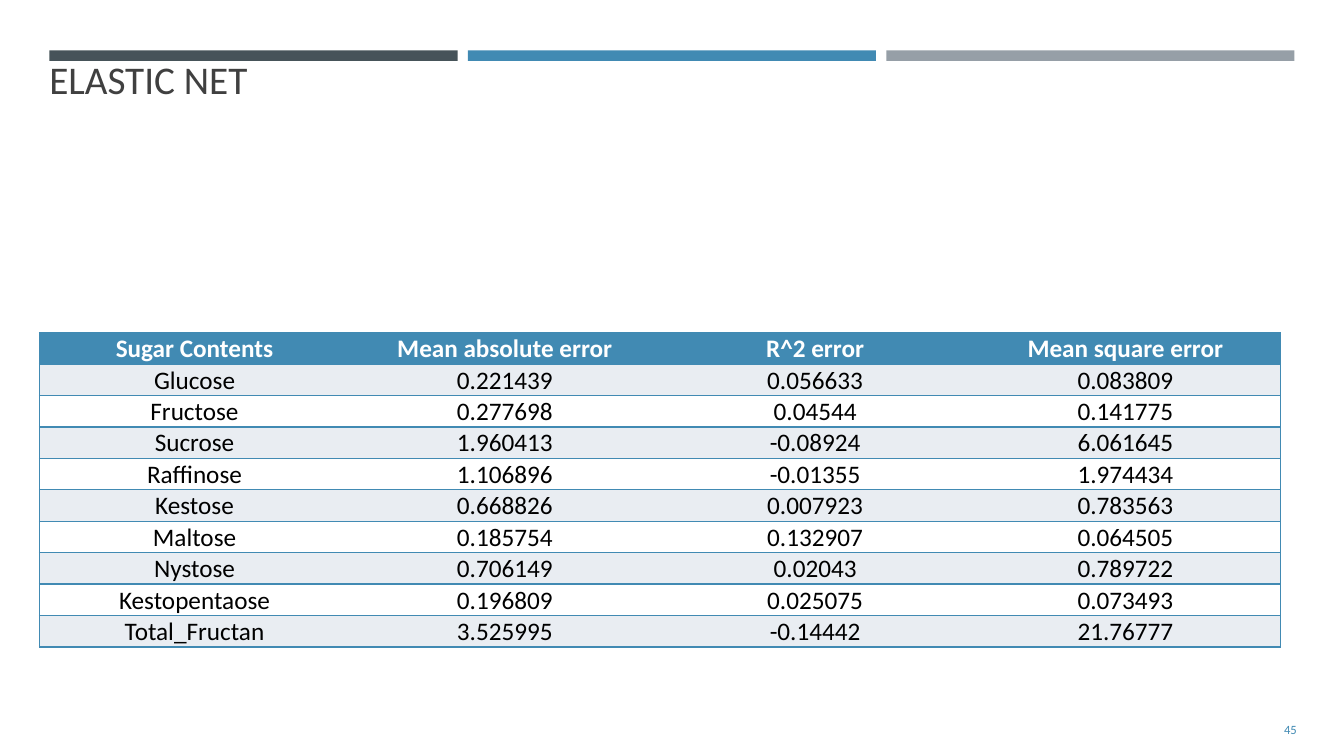
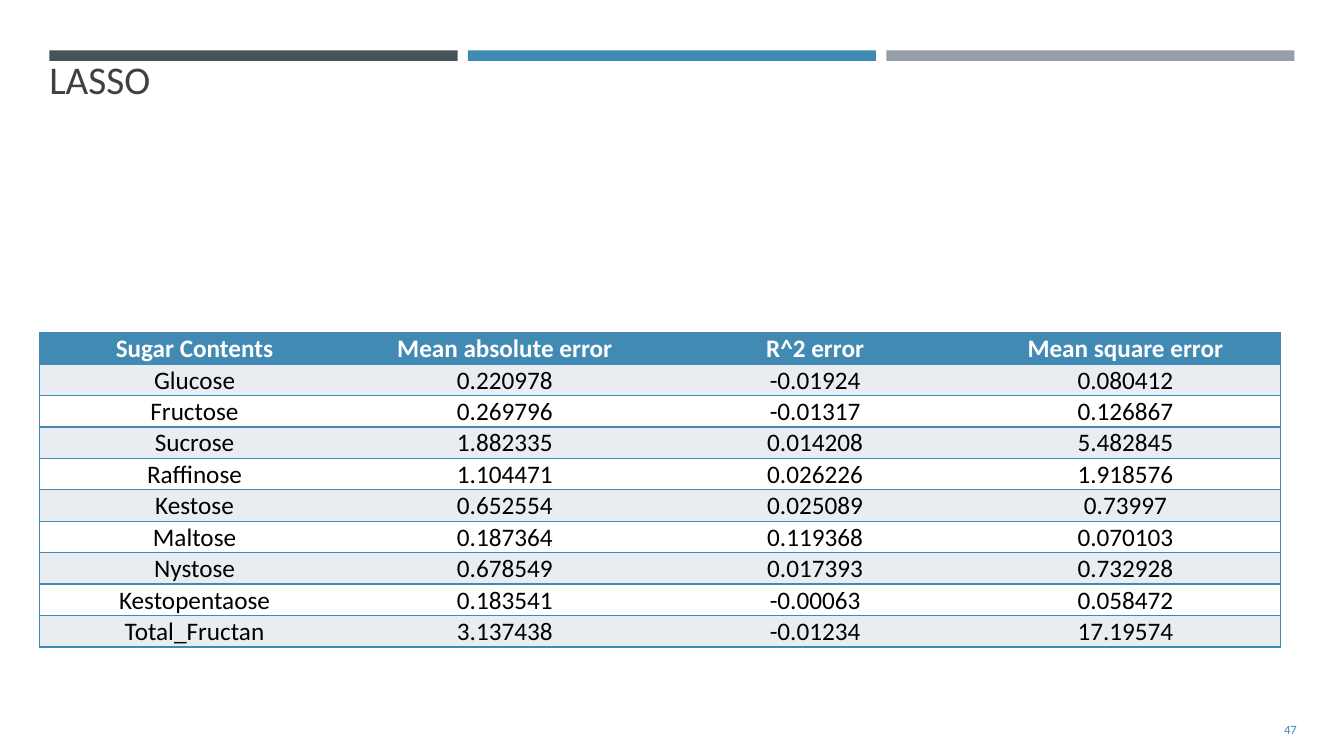
from pptx import Presentation
from pptx.dml.color import RGBColor
from pptx.enum.shapes import MSO_SHAPE
from pptx.enum.text import MSO_ANCHOR, PP_ALIGN
from pptx.oxml.ns import qn
from pptx.util import Inches, Pt
from lxml.etree import SubElement

FONT = "Calibri"
COLORS = {
    "slate": "465359",
    "blue": "418AB3",
    "gray": "969FA7",
    "title": "404040",
    "stripe": "E9EDF2",
    "white": "FFFFFF",
    "black": "000000",
}
HEADER = ["Sugar Contents", "Mean absolute error", "R^2 error", "Mean square error"]
SUGARS = ["Glucose", "Fructose", "Sucrose", "Raffinose", "Kestose",
          "Maltose", "Nystose", "Kestopentaose", "Total_Fructan"]
RESULTS = [
    ("ELASTIC NET", 45, [
        ("0.221439", "0.056633", "0.083809"),
        ("0.277698", "0.04544", "0.141775"),
        ("1.960413", "-0.08924", "6.061645"),
        ("1.106896", "-0.01355", "1.974434"),
        ("0.668826", "0.007923", "0.783563"),
        ("0.185754", "0.132907", "0.064505"),
        ("0.706149", "0.02043", "0.789722"),
        ("0.196809", "0.025075", "0.073493"),
        ("3.525995", "-0.14442", "21.76777"),
    ]),
    ("LASSO", 47, [
        ("0.220978", "-0.01924", "0.080412"),
        ("0.269796", "-0.01317", "0.126867"),
        ("1.882335", "0.014208", "5.482845"),
        ("1.104471", "0.026226", "1.918576"),
        ("0.652554", "0.025089", "0.73997"),
        ("0.187364", "0.119368", "0.070103"),
        ("0.678549", "0.017393", "0.732928"),
        ("0.183541", "-0.00063", "0.058472"),
        ("3.137438", "-0.01234", "17.19574"),
    ]),
]


def rgb(name):
    """Return the palette colour with this name."""
    return RGBColor.from_string(COLORS[name])


class Deck:
    """Hold the deck style and the current slide; boxes are percent of the slide."""

    MARGIN, GAP = 3.68, 0.77
    BAND_TOP, BAND_HEIGHT = 6.67, 1.4
    TABLE = (2.93, 44, 92.35, 41.6)
    TITLE = (2.93, 6.67, 57.54, 23.33)
    NUMBER = (88.6, 93.87, 8.63, 5.33)

    def __init__(self):
        """Start an empty widescreen presentation."""
        self.prs = Presentation()
        self.prs.slide_width = Inches(13.33)
        self.prs.slide_height = Inches(7.5)
        self.s = None

    def box(self, x, y, w, h):
        """Turn percent of the slide into lengths."""
        width, height = self.prs.slide_width, self.prs.slide_height
        return [int(share * side / 100)
                for share, side in zip((x, y, w, h), (width, height) * 2)]

    def slide(self, title, number):
        """Add a slide with its bands, title and number."""
        self.s = self.prs.slides.add_slide(self.prs.slide_layouts[6])
        self.bands("slate", "blue", "gray")
        self.text(self.TITLE, title, 28, "title")
        self.text(self.NUMBER, str(number), 9, "blue", PP_ALIGN.RIGHT, MSO_ANCHOR.MIDDLE)

    def bands(self, *colors):
        """Draw equal bands between the margins."""
        n = len(colors)
        w = (100 - 2 * self.MARGIN - (n - 1) * self.GAP) / n
        for i, color in enumerate(colors):
            x = self.MARGIN + i * (w + self.GAP)
            sp = self.s.shapes.add_shape(
                MSO_SHAPE.RECTANGLE, *self.box(x, self.BAND_TOP, w, self.BAND_HEIGHT))
            sp.shadow.inherit = False
            sp.fill.solid()
            sp.fill.fore_color.rgb = rgb(color)
            sp.line.fill.background()

    def paragraph(self, tf, text, size, color, align, bold=False):
        """Put one styled paragraph in a text frame."""
        p = tf.paragraphs[0]
        p.text = text
        p.alignment = align
        p.font.name = FONT
        p.font.size = Pt(size)
        p.font.bold = bold
        p.font.color.rgb = rgb(color)

    def text(self, area, text, size, color, align=PP_ALIGN.LEFT, anchor=MSO_ANCHOR.TOP):
        """Add a wrapped text box."""
        tf = self.s.shapes.add_textbox(*self.box(*area)).text_frame
        tf.word_wrap = True
        tf.vertical_anchor = anchor
        self.paragraph(tf, text, size, color, align)

    def borders(self, cell, sides):
        """Rule the given sides of a cell and clear the others."""
        tcPr = cell._tc.get_or_add_tcPr()
        for side in "LRTB":
            ln = SubElement(tcPr, qn(f"a:ln{side}"), w=str(Pt(1)))
            if side in sides:
                fill = SubElement(ln, qn("a:solidFill"))
                SubElement(fill, qn("a:srgbClr"), val=COLORS["blue"])
            else:
                SubElement(ln, qn("a:noFill"))

    def table(self, rows):
        """Add a striped table with a coloured header row."""
        last = len(rows[0]) - 1
        area = self.box(*self.TABLE)
        table = self.s.shapes.add_table(len(rows), last + 1, *area).table
        table.first_row = table.horz_banding = False
        for i, row in enumerate(rows):
            table.rows[i].height = area[3] // len(rows)
            fill = "blue" if i == 0 else "stripe" if i % 2 else "white"
            for j, text in enumerate(row):
                cell = table.cell(i, j)
                self.borders(cell, "TB" + "L" * (j == 0) + "R" * (j == last))
                cell.fill.solid()
                cell.fill.fore_color.rgb = rgb(fill)
                cell.margin_left = cell.margin_right = cell.margin_top = Inches(0.01)
                cell.margin_bottom = 0
                middle = i == 0 or j == 0
                cell.vertical_anchor = MSO_ANCHOR.MIDDLE if middle else MSO_ANCHOR.BOTTOM
                self.paragraph(cell.text_frame, text, 18, "black" if i else "white",
                               PP_ALIGN.CENTER, bold=i == 0)


def main():
    """Build one slide for each model."""
    deck = Deck()
    for title, number, errors in RESULTS:
        deck.slide(title, number)
        deck.table([HEADER] + [[sugar, *row] for sugar, row in zip(SUGARS, errors)])
    deck.prs.save("out.pptx")


if __name__ == "__main__":
    main()
